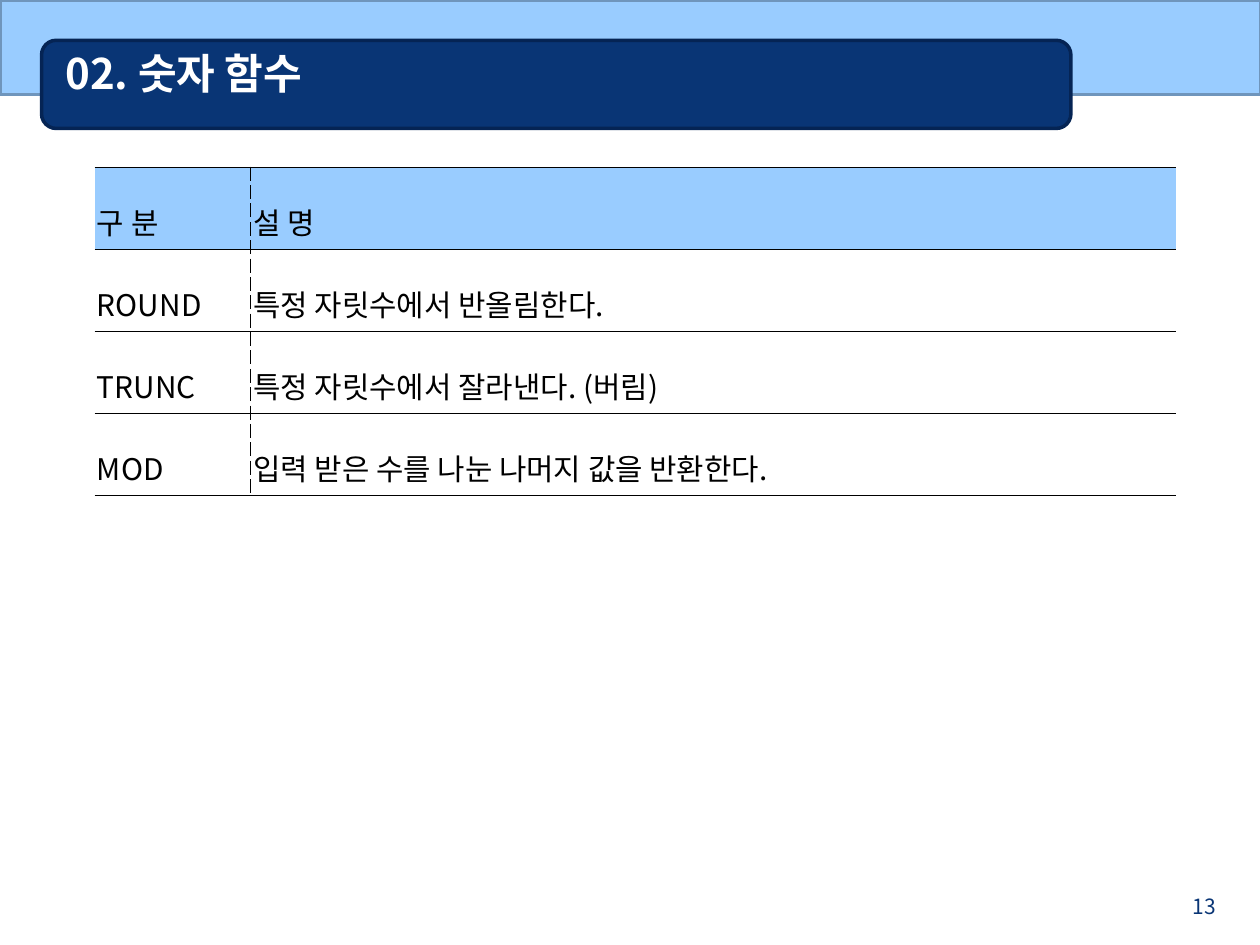
from dataclasses import dataclass

from lxml import etree
from pptx import Presentation
from pptx.dml.color import RGBColor
from pptx.enum import shapes, text
from pptx.oxml import ns
from pptx.util import Inches, Pt

TITLE = "02. 숫자 함수"
PAGE = "13"
ROWS = [
    ("구 분", "설 명"),
    ("ROUND", "특정 자릿수에서 반올림한다."),
    ("TRUNC", "특정 자릿수에서 잘라낸다. (버림)"),
    ("MOD", "입력 받은 수를 나눈 나머지 값을 반환한다."),
]
COLS = (1.24, 7.34)
ROW = 0.65


@dataclass(frozen=True)
class Theme:
    font: str = "Noto Sans CJK KR"
    sky: str = "99CCFF"
    rim: str = "6F95BC"
    navy: str = "093575"
    edge: str = "052454"
    white: str = "FFFFFF"
    black: str = "000000"
    title: int = 24
    body: int = 17
    page: int = 12
    frame: int = 2
    thick: float = 1.1
    thin: float = 0.11
    dash: float = 0.28


LOOK = Theme()


def rgb(tone):
    return RGBColor.from_string(tone)


def write(frame, words, size, tone, align, bold=False):
    frame.text = words
    para = frame.paragraphs[0]
    para.alignment = align
    run = para.runs[0]
    font = run.font
    font.name, font.size, font.bold = LOOK.font, Pt(size), bold
    font.color.rgb = rgb(tone)
    east = etree.SubElement(run._r.get_or_add_rPr(), ns.qn("a:ea"))
    east.set("typeface", LOOK.font)
    return para


def panel(slide, kind, box, fill, line):
    shape = slide.shapes.add_shape(kind, *map(Inches, box))
    shape.shadow.inherit = False
    shape.fill.solid()
    shape.fill.fore_color.rgb = rgb(fill)
    shape.line.color.rgb = rgb(line)
    shape.line.width = Pt(LOOK.frame)


def label(slide, box, *style, **more):
    frame = slide.shapes.add_textbox(*map(Inches, box)).text_frame
    frame.word_wrap = True
    write(frame, *style, **more)


def border(cell, sides):
    props = cell._tc.get_or_add_tcPr()
    for spot, (side, width) in enumerate(sides):
        line = etree.Element(ns.qn(f"a:ln{side}"), w=str(int(Pt(width))))
        if width:
            fill = etree.SubElement(line, ns.qn("a:solidFill"))
            etree.SubElement(fill, ns.qn("a:srgbClr"), val=LOOK.black)
            style = "dash" if side in "LR" else "solid"
            etree.SubElement(line, ns.qn("a:prstDash"), val=style)
        else:
            etree.SubElement(line, ns.qn("a:noFill"))
        props.insert(spot, line)


def grid(slide):
    box = (0.75, 1.33, sum(COLS), ROW * len(ROWS))
    table = slide.shapes.add_table(
        len(ROWS), len(COLS), *map(Inches, box)
    ).table
    table.horz_banding = table.first_row = False
    for col, width in zip(table.columns, COLS):
        col.width = Inches(width)
    for r, row in enumerate(ROWS):
        table.rows[r].height = Inches(ROW)
        for c, words in enumerate(row):
            cell = table.cell(r, c)
            cell.margin_left = cell.margin_right = Inches(0.02)
            cell.vertical_anchor = text.MSO_ANCHOR.TOP
            para = write(cell.text_frame, words, LOOK.body, LOOK.black,
                         text.PP_ALIGN.JUSTIFY)
            para.line_spacing = 1.6
            cell.fill.solid()
            cell.fill.fore_color.rgb = rgb(LOOK.white if r else LOOK.sky)
            border(cell, (
                ("L", LOOK.dash if c else 0),
                ("R", 0 if c else LOOK.dash),
                ("T", LOOK.thin if r else LOOK.thick),
                ("B", LOOK.thin),
            ))


def main():
    """Build the slide on number functions."""
    deck = Presentation()
    deck.slide_width, deck.slide_height = Inches(10), Inches(7.5)
    slide = deck.slides.add_slide(deck.slide_layouts[6])
    kind = shapes.MSO_SHAPE
    panel(slide, kind.RECTANGLE, (0, 0, 10.01, 0.75), LOOK.sky, LOOK.rim)
    panel(slide, kind.ROUNDED_RECTANGLE, (0.33, 0.32, 8.17, 0.7),
          LOOK.navy, LOOK.edge)
    label(slide, (9.25, 7.04, 0.5, 0.34), PAGE, LOOK.page, LOOK.navy,
          text.PP_ALIGN.RIGHT)
    grid(slide)
    label(slide, (0.42, 0.33, 2.28, 0.91), TITLE, LOOK.title, LOOK.white,
          text.PP_ALIGN.LEFT, bold=True)
    deck.save("out.pptx")


if __name__ == "__main__":
    main()
